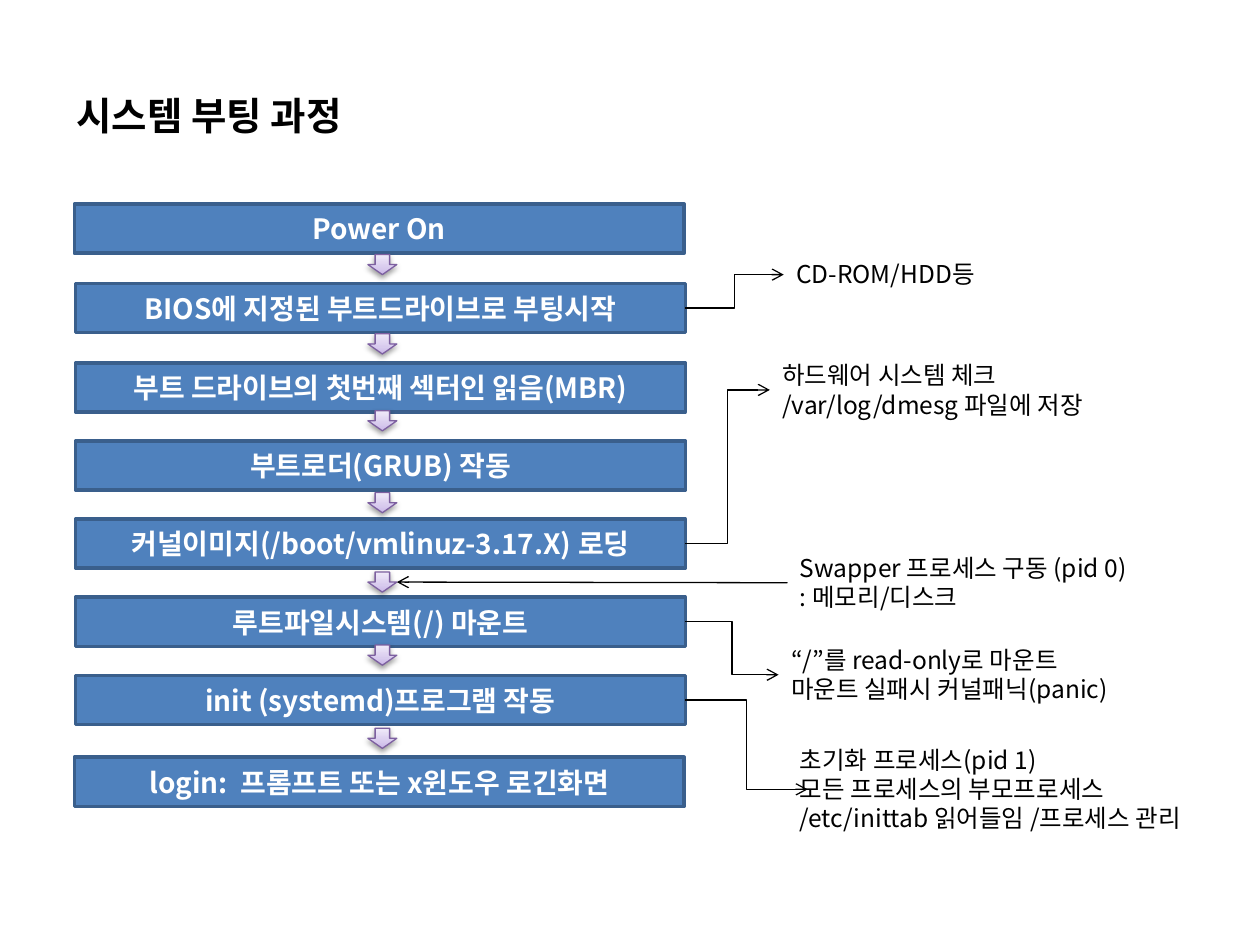
from lxml import etree
from pptx import Presentation, util as u
from pptx.dml.color import RGBColor
from pptx.enum import shapes, text
from pptx.oxml import parse_xml
from pptx.oxml.ns import nsdecls, qn

WIDTH, HEIGHT = u.Inches(10), u.Inches(7.5)
COLUMN, ROW = WIDTH / 100, HEIGHT / 75
FONT = "Noto Sans CJK KR"

# Boot steps: left column, top row, label
STEP_WIDTH, STEP_HEIGHT = 48.4, 3.9
STEPS = [
    (5.9, 16.2, "Power On"),
    (6, 22.5, "BIOS에 지정된 부트드라이브로 부팅시작"),
    (6, 28.8, "부트 드라이브의 첫번째 섹터인 읽음(MBR)"),
    (6, 35, "부트로더(GRUB) 작동"),
    (6, 41.2, "커널이미지(/boot/vmlinuz-3.17.X) 로딩"),
    (6, 47.4, "루트파일시스템(/) 마운트"),
    (6, 53.6, "init (systemd)프로그램 작동"),
    (5.9, 60.1, "login:  프롬프트 또는 x윈도우 로긴화면"),
]
ARROW_WIDTH, ARROW_HEIGHT = 2.3, 1.6
ARROW_LEFT = 29.2
ARROW_TOPS = [20.2, 26.5, 32.6, 39.1, 45.4, 51.2, 57.8]

# Notes: left, top, width, height, lines, step it explains, overlap of its connector
NOTES = [
    (62.2, 20.1, 16.9, 3.4, ["CD-ROM/HDD등"], 1, 0),
    (61.1, 28.1, 27.5, 5.7, ["하드웨어 시스템 체크", "/var/log/dmesg 파일에 저장"], 4, 0),
    (62.5, 43.4, 30.8, 5.7, ["Swapper 프로세스 구동 (pid 0)", ": 메모리/디스크"], None, 0),
    (61.8, 50.7, 29.9, 5.7, ["“/”를 read-only로 마운트", "마운트 실패시 커널패닉(panic)"], 5, 0),
    (62.5, 58.6, 34.7, 8.1, ["초기화 프로세스(pid 1)", "모든 프로세스의 부모프로세스",
                             "/etc/inittab 읽어들임 /프로세스 관리"], 6, 1.6),
]


def color(value):
    return RGBColor.from_string(value)


def grid(*lengths):
    """Turn alternating columns and rows into slide lengths."""
    return [round(n * (ROW if i % 2 else COLUMN)) for i, n in enumerate(lengths)]


def style_text(para, size, shade="000000", bold=False):
    font = para.font
    font.name, font.size, font.bold = FONT, u.Pt(size), bold
    font.color.rgb = color(shade)
    properties = para._p.get_or_add_pPr().find(qn("a:defRPr"))
    etree.SubElement(properties, qn("a:ea")).set("typeface", FONT)


def add_text(page, place, lines, size, bold=False):
    box = page.shapes.add_textbox(*grid(*place))
    frame = box.text_frame
    frame.text = "\n".join(lines)
    for para in frame.paragraphs:
        style_text(para, size, bold=bold)
    return frame


def add_title(page, label):
    frame = add_text(page, (5.1, 5.2, 90.6, 6.3), [label], 22, bold=True)
    frame.word_wrap = True
    frame.paragraphs[0].line_spacing = 1.45
    frame.paragraphs[0].space_before = u.Pt(4.4)


def add_step(page, left, top, label):
    box = page.shapes.add_shape(shapes.MSO_SHAPE.RECTANGLE,
                                *grid(left, top, STEP_WIDTH, STEP_HEIGHT))
    box.shadow.inherit = False
    box.fill.solid()
    box.fill.fore_color.rgb = color("4F81BD")
    box.line.color.rgb = color("3A5F8C")
    box.line.width = u.Pt(2)
    frame = box.text_frame
    frame.text = label
    frame.vertical_anchor = text.MSO_ANCHOR.MIDDLE
    para = frame.paragraphs[0]
    para.alignment = text.PP_ALIGN.CENTER
    style_text(para, 16, "FFFFFF", bold=True)


def add_down_arrow(page, top):
    arrow = page.shapes.add_shape(shapes.MSO_SHAPE.DOWN_ARROW,
                                  *grid(ARROW_LEFT, top, ARROW_WIDTH, ARROW_HEIGHT))
    arrow.line.color.rgb = color("7D60A0")
    arrow.line.width = u.Pt(0.75)
    # Three-stop gradient and soft shadow
    stops = "".join(f'<a:gs pos="{at * 1000}"><a:srgbClr val="{shade}"/></a:gs>'
                    for at, shade in [(0, "C9B5E8"), (35, "D8CBEE"), (100, "F0EAF9")])
    outline = arrow.line._get_or_add_ln()
    outline.addprevious(parse_xml(
        f'<a:gradFill {nsdecls("a")} rotWithShape="1"><a:gsLst>{stops}</a:gsLst>'
        '<a:lin ang="16200000" scaled="1"/></a:gradFill>'))
    outline.addnext(parse_xml(
        f'<a:effectLst {nsdecls("a")}><a:outerShdw blurRad="{u.Pt(3.1)}" dist="{u.Pt(1.6)}" '
        'dir="5400000" rotWithShape="0"><a:srgbClr val="000000"><a:alpha val="38000"/>'
        '</a:srgbClr></a:outerShdw></a:effectLst>'))


def add_note(page, place, lines):
    frame = add_text(page, place, lines, 14)
    frame.word_wrap = False
    frame.auto_size = text.MSO_AUTO_SIZE.SHAPE_TO_FIT_TEXT


def add_link(page, kind, start, end):
    link = page.shapes.add_connector(kind, *grid(*start, *end))
    link.line.color.rgb = color("000000")
    link.line.width = u.Pt(0.75)
    etree.SubElement(link.line._get_or_add_ln(), qn("a:tailEnd")).set("type", "arrow")
    etree.SubElement(link._element.spPr, qn("a:effectLst"))


def main():
    deck = Presentation()
    deck.slide_width, deck.slide_height = WIDTH, HEIGHT
    page = deck.slides.add_slide(deck.slide_layouts[6])

    # Boot sequence
    add_title(page, "시스템 부팅 과정")
    for step in STEPS:
        add_step(page, *step)
    for top in ARROW_TOPS:
        add_down_arrow(page, top)

    # Notes and their connectors
    for left, top, width, height, lines, step, overlap in NOTES:
        add_note(page, (left, top, width, height), lines)
        middle = top + height / 2
        if step is None:
            add_link(page, shapes.MSO_CONNECTOR.STRAIGHT,
                     (left, middle), (ARROW_LEFT + ARROW_WIDTH, ARROW_TOPS[4] + ARROW_HEIGHT / 2))
        else:
            step_left, step_top, _ = STEPS[step]
            add_link(page, shapes.MSO_CONNECTOR.ELBOW,
                     (step_left + STEP_WIDTH, step_top + STEP_HEIGHT / 2), (left + overlap, middle))

    deck.save("out.pptx")


if __name__ == "__main__":
    main()
